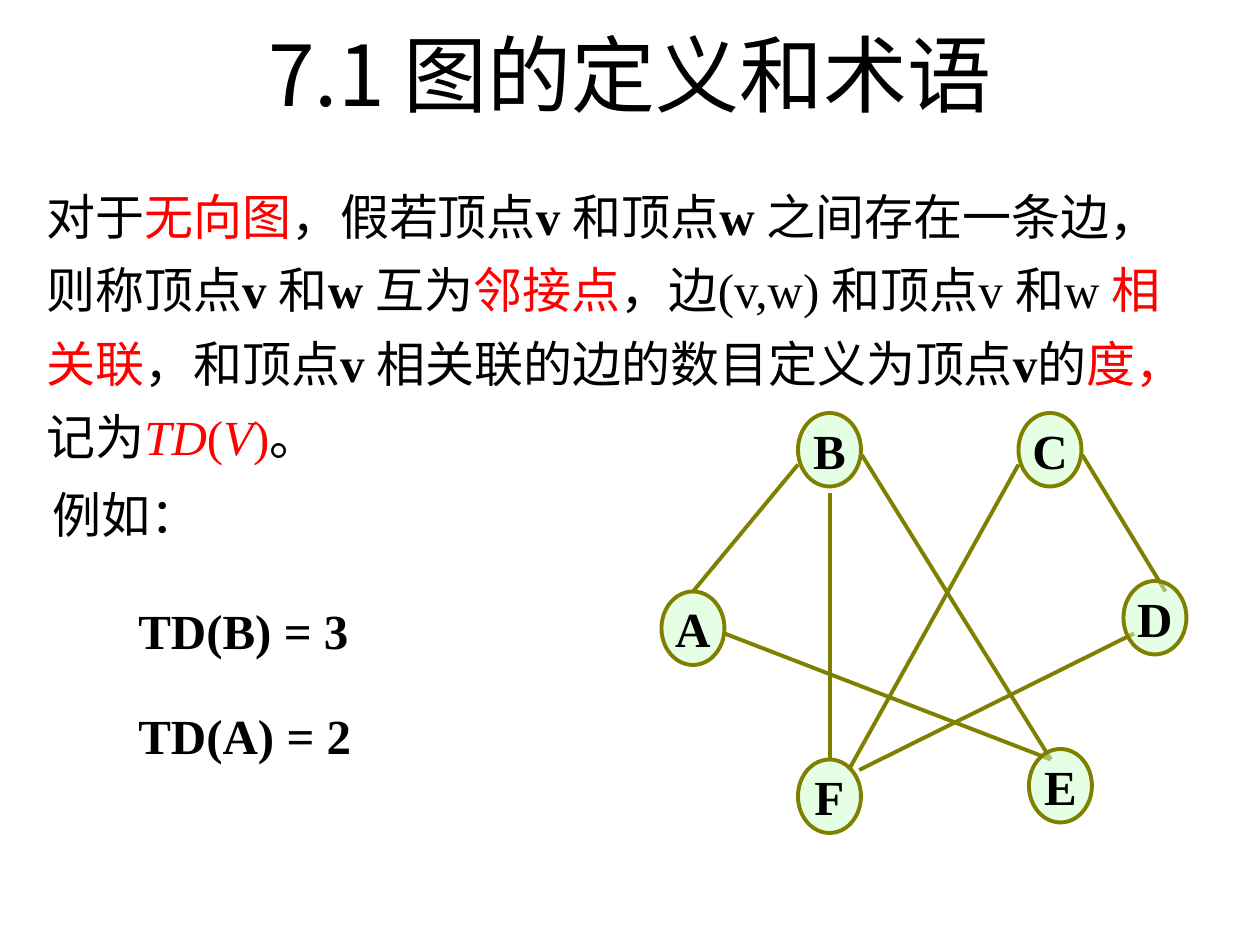
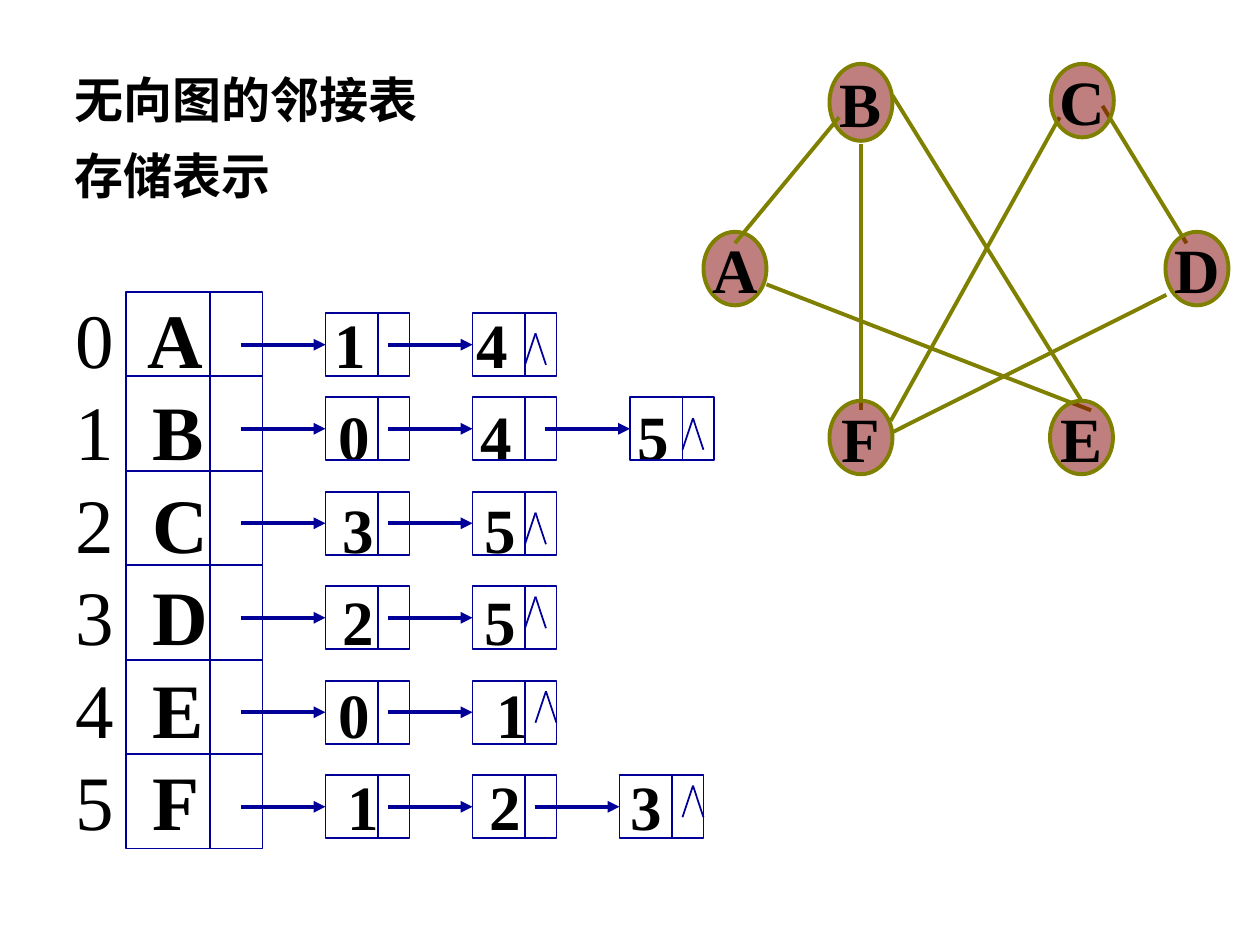
from pptx import Presentation
from pptx.dml.color import RGBColor
from pptx.enum.shapes import MSO_CONNECTOR, MSO_SHAPE
from pptx.enum.text import MSO_ANCHOR, MSO_AUTO_SIZE, PP_ALIGN
from pptx.oxml.ns import qn
from pptx.util import Pt
from lxml import etree

STRAIGHT = MSO_CONNECTOR.STRAIGHT
RECTANGLE, OVAL = MSO_SHAPE.RECTANGLE, MSO_SHAPE.OVAL
TOP, MIDDLE = MSO_ANCHOR.TOP, MSO_ANCHOR.MIDDLE
LEFT, CENTER = PP_ALIGN.LEFT, PP_ALIGN.CENTER
SANS, SERIF = "Noto Sans CJK SC", "Times New Roman"
COLORS = {
    "text": "000000", "term": "FF0000", "olive": "808000",
    "mint": "CCFFCC", "maroon": "800000", "navy": "000099",
}

TERM, BOLD = {"color": "term"}, {"bold": True}
TERM_ITALIC = {"color": "term", "italic": True}
DEFINITION = [
    ("对于", {}), ("无向图", TERM), ("，假若顶点", {}), ("v ", BOLD),
    ("和顶点", {}), ("w ", BOLD), ("之间存在一条边，则称顶点", {}),
    ("v ", BOLD), ("和", {}), ("w ", BOLD), ("互为", {}), ("邻接点", TERM),
    ("，边(v,w) 和顶点v 和w ", {}), ("相关联", TERM), ("，和顶点", {}),
    ("v ", BOLD), ("相关联的边的数目定义为顶点", {}), ("v", BOLD), ("的", {}),
    ("度，", TERM), ("记为", {}), ("TD", TERM_ITALIC), ("(", TERM),
    ("V", TERM_ITALIC), (")", TERM), ("。", {}),
]
EXAMPLES = [
    ("例如：", (23, 273.6, 105, 41), False),
    ("TD(B) = 3", (72, 339.5, 180, 41), True),
    ("TD(A) = 2", (72, 399.6, 180, 41), True),
]
DEGREE_GRAPH = {
    "fill": "mint", "size": 28, "under": "A",
    "nodes": {
        "A": (378, 338, 42), "B": (456, 236, 42), "C": (582, 236, 42),
        "D": (642, 332, 42), "E": (588, 428, 42), "F": (456, 434, 42),
    },
    "edges": {
        "BA": (456, 265.5, 396, 338), "BE": (492.5, 260, 600.5, 434),
        "AE": (414, 362, 600.5, 434), "CF": (582, 265.5, 485, 440),
        "CD": (618.5, 260, 666, 338), "DF": (648, 362, 491, 440),
        "BF": (474.5, 282, 474.5, 434),
    },
}
LIST_GRAPH = {
    "fill": "maroon", "size": 36, "under": "BA",
    "nodes": {
        "A": (402, 132.5, 42), "B": (474, 36.5, 44), "C": (600.5, 36.5, 42),
        "D": (666, 132.5, 42), "E": (600, 229, 42), "F": (474, 229, 42),
    },
    "edges": {
        "BA": (479.5, 67, 420, 139), "BE": (510, 54.5, 618, 229),
        "AE": (438, 162.5, 623.5, 234.5), "CF": (605.5, 67, 509, 240.5),
        "CD": (630, 60.5, 678, 139), "DF": (666.5, 168.5, 510, 247),
        "BF": (492, 82.5, 492, 234.5),
    },
}
ADJACENCY = [
    {"vertex": "A", "links": "14", "tabs": (41.5, 148, 229),
     "cells": (186, 270), "top": 179, "null": (36, 11.5)},
    {"vertex": "B", "links": "045", "tabs": (44, 150.5, 231.5, 321),
     "cells": (186, 270, 360), "top": 227, "null": (36, 12)},
    {"vertex": "C", "links": "35", "tabs": (44, 152.5, 234),
     "cells": (186, 270), "top": 281, "null": (36, 12)},
    {"vertex": "D", "links": "25", "tabs": (44, 152.5, 234),
     "cells": (186, 270), "top": 335, "null": (36, 6)},
    {"vertex": "E", "links": "01", "tabs": (44, 150.5, 240.5),
     "cells": (186, 270), "top": 389, "null": (42, 6)},
    {"vertex": "F", "links": "123", "tabs": (44, 155.5, 236.5, 317.5),
     "cells": (186, 270, 354), "top": 443, "null": (42, 6)},
]
CELL_WIDTH, CELL_HEIGHT, CELL_DIVIDER, ARROW_LENGTH = 48, 36, 30, 48.5
HEAD_LEFT, HEAD_TOP, HEAD_WIDTH, HEAD_HEIGHT = 72, 167, 78, 318
HEAD_DIVIDER, FIRST_ROW_LINE, ROW_STEP = 120, 215, 54


def rgb(name):
    return RGBColor.from_string(COLORS[name])


def write_text(frame, paragraphs, size=28, font=SERIF, bold=False, align=LEFT,
               anchor=TOP, wrap=True, spacing=None, tabs=None):
    frame.word_wrap = wrap
    frame.auto_size = MSO_AUTO_SIZE.NONE
    frame.vertical_anchor = anchor
    for index, runs in enumerate(paragraphs):
        paragraph = frame.add_paragraph() if index else frame.paragraphs[0]
        paragraph.alignment = align
        properties = paragraph._p.get_or_add_pPr()
        properties.set("hangingPunct", "0")
        if spacing:
            paragraph.line_spacing = spacing
        if tabs:
            tab_list = etree.SubElement(properties, qn("a:tabLst"))
            for position in tabs[index]:
                etree.SubElement(tab_list, qn("a:tab"),
                                 pos=str(Pt(position)), algn="l")
        for text, style in runs:
            run = paragraph.add_run()
            run.text = text
            run.font.name = font
            run.font.size = Pt(style.get("size", size))
            run.font.bold = style.get("bold", bold)
            run.font.italic = style.get("italic", False)
            run.font.color.rgb = rgb(style.get("color", "text"))
            etree.SubElement(run._r.get_or_add_rPr(), qn("a:ea"), typeface=SANS)


def add_text(slide, box, paragraphs, **text_format):
    text_box = slide.shapes.add_textbox(*map(Pt, box))
    write_text(text_box.text_frame, paragraphs, **text_format)


def add_titled_slide(presentation, text, box, **text_format):
    slide = presentation.slides.add_slide(presentation.slide_layouts[5])
    title = slide.shapes.title
    title.left, title.top, title.width, title.height = map(Pt, box)
    write_text(title.text_frame, [[(text, {})]], font=SANS, **text_format)
    return slide


def add_line(slide, ends, color="navy", width=1, arrow=False):
    line = slide.shapes.add_connector(STRAIGHT, *map(Pt, ends))
    line.line.color.rgb = rgb(color)
    line.line.width = Pt(width)
    if arrow:
        etree.SubElement(line.line._get_or_add_ln(), qn("a:tailEnd"), type="triangle")
    etree.SubElement(line._element.spPr, qn("a:effectLst"))


def add_outline(slide, kind, box, color="navy", width=1):
    shape = slide.shapes.add_shape(kind, *map(Pt, box))
    shape.shadow.inherit = False
    shape.fill.background()
    shape.line.color.rgb = rgb(color)
    shape.line.width = Pt(width)
    return shape


def add_node(slide, graph, name):
    left, top, height = graph["nodes"][name]
    node = add_outline(slide, OVAL, (left, top, 36, height), "olive", 2.25)
    node.fill.solid()
    node.fill.fore_color.rgb = rgb(graph["fill"])
    fill_color = node._element.spPr.find(qn("a:solidFill")).find(qn("a:srgbClr"))
    etree.SubElement(fill_color, qn("a:alpha"), val="50000")
    write_text(node.text_frame, [[(name, {})]], size=graph["size"], bold=True,
               align=CENTER, anchor=MIDDLE, wrap=False)


def add_graph(slide, graph):
    for name in graph["under"]:
        add_node(slide, graph, name)
    for ends in graph["edges"].values():
        add_line(slide, ends, "olive", 2.25)
    for name in graph["nodes"]:
        if name not in graph["under"]:
            add_node(slide, graph, name)


def add_head_column(slide):
    right, bottom = HEAD_LEFT + HEAD_WIDTH, HEAD_TOP + HEAD_HEIGHT
    add_outline(slide, RECTANGLE, (HEAD_LEFT, HEAD_TOP, HEAD_WIDTH, HEAD_HEIGHT))
    for index in range(len(ADJACENCY) - 1):
        y = FIRST_ROW_LINE + index * ROW_STEP
        add_line(slide, (HEAD_LEFT, y, right, y))
    add_line(slide, (HEAD_DIVIDER, HEAD_TOP, HEAD_DIVIDER, bottom))


def add_chain(slide, row):
    top = row["top"]
    middle = top + CELL_HEIGHT / 2
    for left in row["cells"]:
        divider = left + CELL_DIVIDER
        add_outline(slide, RECTANGLE, (left, top, CELL_WIDTH, CELL_HEIGHT))
        add_line(slide, (divider, top, divider, top + CELL_HEIGHT))
        add_line(slide, (left - ARROW_LENGTH, middle, left, middle),
                 width=2.25, arrow=True)
    offset_x, offset_y = row["null"]
    peak_x, peak_y = row["cells"][-1] + offset_x, top + offset_y
    for side in (-6, 6):
        add_line(slide, (peak_x, peak_y, peak_x + side, peak_y + 18))


def add_adjacency_list(slide):
    paragraphs = []
    for index, row in enumerate(ADJACENCY):
        runs = [(str(index), {}), ("\t" + row["vertex"], BOLD)]
        runs += [("\t" + link, {"bold": True, "size": 36}) for link in row["links"]]
        paragraphs.append(runs)
    add_text(slide, (36, 163, 390, 324), paragraphs, size=44, spacing=Pt(52.8),
             tabs=[row["tabs"] for row in ADJACENCY])
    add_head_column(slide)
    for row in ADJACENCY:
        add_chain(slide, row)


def main():
    presentation = Presentation()
    presentation.slide_width, presentation.slide_height = Pt(720), Pt(540)

    slide = add_titled_slide(presentation, "7.1 图的定义和术语", (36, 7.5, 648, 68.5),
                             size=48, align=CENTER, anchor=MIDDLE)
    add_text(slide, (19.5, 94.5, 669, 175.5), [DEFINITION], spacing=1.25)
    add_graph(slide, DEGREE_GRAPH)
    for text, box, bold in EXAMPLES:
        add_text(slide, box, [[(text, {})]], bold=bold)

    slide = add_titled_slide(presentation, "无向图的邻接表存储表示", (35.5, 26, 228, 95),
                             bold=True, spacing=1.3)
    add_adjacency_list(slide)
    add_graph(slide, LIST_GRAPH)

    presentation.save("out.pptx")


if __name__ == "__main__":
    main()
